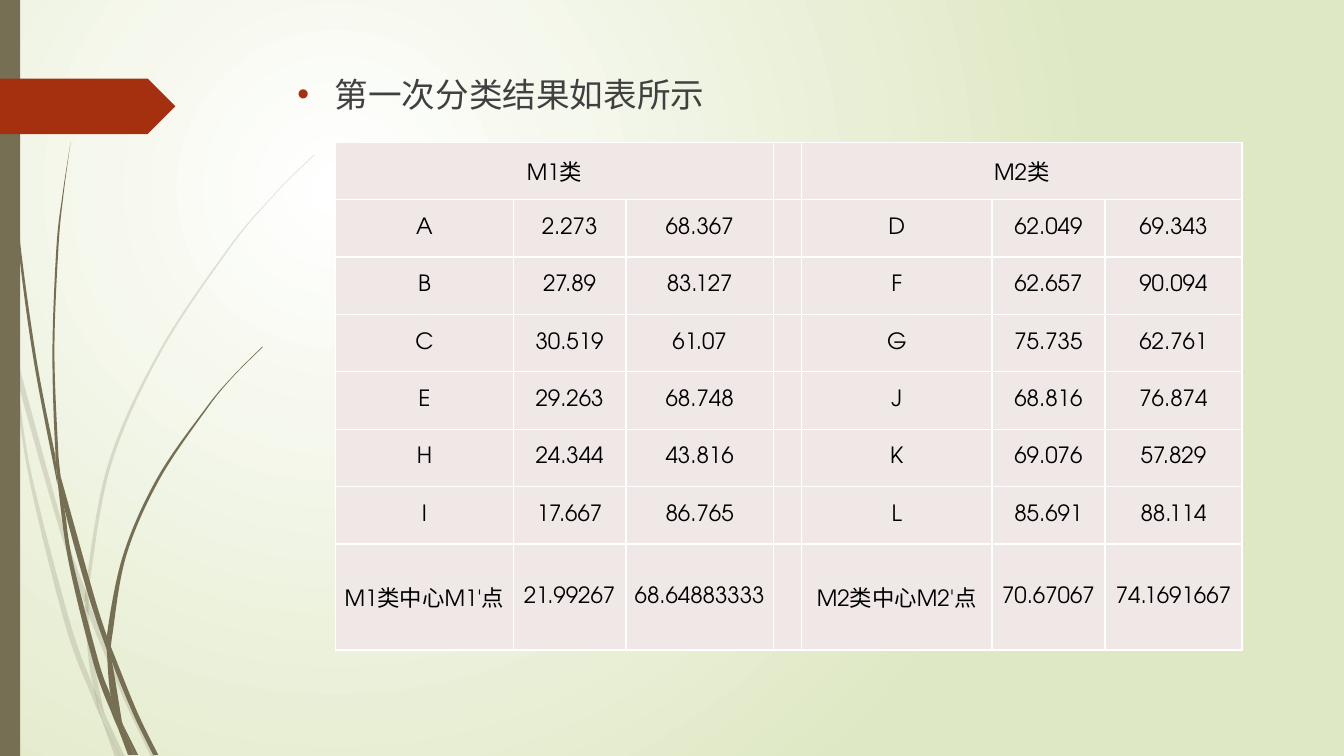
import pptx
import pptx.dml.color
import pptx.enum.shapes
import pptx.enum.text
import pptx.oxml
import pptx.oxml.ns
import pptx.util
from pptx.util import Inches

COLORS = {
    "white": "FFFFFF",
    "meadow": "DFE8C4",
    "stem": "766F54",
    "accent": "A53010",
    "heading": "404040",
    "cell": "F0E8E7",
    "ink": "000000",
}
LATIN = "TeX Gyre Adventor"
CHINESE = "Noto Sans CJK SC"

# Each leaf of grass is one edge and then the other, in order round its outline.
PALE_LEAVES = [
    ([(0.11, 3.5), (0.09, 3.22), (0, 2.82)], [(0, 2.99), (0.1, 3.44), (0.11, 3.5)]),
    ([(0.14, 3.45), (0.17, 3.76), (0.58, 5.22), (0.84, 5.99)],
     [(0.85, 5.86), (0.62, 5.2), (0.14, 3.45)]),
    ([(0.88, 5.96), (0.88, 6.1), (1.23, 6.94), (1.5, 7.51)],
     [(1.55, 7.51), (1.27, 6.92), (0.92, 6.07), (0.88, 5.96)]),
    ([(1.05, 7.11), (1.19, 7.51)], [(1.24, 7.51), (1.05, 7.11)]),
    ([(0.11, 3.5), (0.28, 4.7), (0.65, 6.21), (0.92, 6.93), (1.01, 7.14)],
     [(0.99, 7.07), (0.93, 6.83), (0.7, 6.19), (0.31, 4.69), (0.17, 3.76), (0.11, 3.5)]),
    ([(0.84, 5.99), (0.87, 6.46), (0.93, 6.83), (1.05, 7.11)],
     [(1.03, 7.06), (0.91, 6.46), (0.88, 6.1), (0.84, 5.99)]),
    ([(3.12, 1.53), (2.89, 1.75), (2.68, 1.97), (2.28, 2.44), (1.58, 3.48),
      (1.07, 4.61), (0.85, 5.84), (0.88, 5.96)],
     [(0.88, 5.84), (1.1, 4.62), (1.6, 3.49), (2.29, 2.45), (2.68, 1.98),
      (2.9, 1.75), (3.12, 1.54)]),
    ([(1.01, 7.14), (1.14, 7.51)], [(1.19, 7.51), (1.01, 7.14)]),
    ([(0.85, 5.86), (0.84, 5.99), (0.88, 6.1)], [(0.88, 5.96), (0.85, 5.86)]),
    ([(0.93, 6.83), (1.01, 7.14), (1.19, 7.51)],
     [(1.19, 7.51), (1.05, 7.11), (0.93, 6.83)]),
]
DARK_LEAVES = [
    ([(0.03, 0), (0.07, 1.1), (0.17, 2.33), (0.33, 3.55), (0.57, 4.81)],
     [(0.55, 4.53), (0.36, 3.55), (0.19, 2.32), (0.08, 1.09), (0.04, 0)]),
    ([(0.6, 4.72), (0.64, 5.05), (0.88, 5.92), (1.06, 6.45)],
     [(1.06, 6.31), (0.93, 5.9), (0.6, 4.72)]),
    ([(1.1, 6.41), (1.11, 6.56), (1.32, 7.08), (1.52, 7.49)],
     [(1.57, 7.49), (1.36, 7.06), (1.13, 6.49), (1.1, 6.41)]),
    ([(0.57, 4.77), (0.68, 5.57), (0.93, 6.59), (1.11, 7.08), (1.17, 7.22)],
     [(1.16, 7.17), (1.1, 6.91), (0.98, 6.57), (0.72, 5.56), (0.64, 5.05), (0.57, 4.77)]),
    ([(0.7, 1.41), (0.62, 1.93), (0.56, 2.45), (0.52, 3.49), (0.55, 4.49), (0.6, 4.72)],
     [(0.58, 4.53), (0.54, 3.49), (0.58, 2.45), (0.63, 1.93), (0.7, 1.41)]),
    ([(1.22, 7.19), (1.33, 7.49)], [(1.37, 7.49), (1.22, 7.19)]),
    ([(0.55, 4.49), (0.57, 4.77), (0.64, 5.05)], [(0.6, 4.72), (0.55, 4.49)]),
    ([(2.6, 3.44), (2.31, 3.73), (2.04, 4.05), (1.56, 4.74), (1.22, 5.51),
      (1.06, 6.31), (1.1, 6.41)],
     [(1.11, 6.33), (1.25, 5.52), (1.58, 4.76), (2.05, 4.06), (2.31, 3.74), (2.61, 3.44)]),
    ([(1.17, 7.22), (1.27, 7.49)], [(1.31, 7.49), (1.17, 7.22)]),
    ([(1.06, 6.45), (1.1, 6.91), (1.22, 7.19)], [(1.21, 7.16), (1.11, 6.56), (1.06, 6.45)]),
    ([(1.06, 6.31), (1.06, 6.45), (1.11, 6.56)], [(1.1, 6.41), (1.06, 6.31)]),
    ([(1.1, 6.91), (1.17, 7.22), (1.3, 7.49)], [(1.33, 7.49), (1.22, 7.19), (1.1, 6.91)]),
]

COLUMN_WIDTHS = [1.76, 1.12, 1.46, 0.28, 1.89, 1.12, 1.36]
ROW_HEIGHTS = [0.57] * 7 + [1.05]
CLUSTERS = [
    ["M1类", "", "", "", "M2类", "", ""],
    ["A", "2.273", "68.367", "", "D", "62.049", "69.343"],
    ["B", "27.89", "83.127", "", "F", "62.657", "90.094"],
    ["C", "30.519", "61.07", "", "G", "75.735", "62.761"],
    ["E", "29.263", "68.748", "", "J", "68.816", "76.874"],
    ["H", "24.344", "43.816", "", "K", "69.076", "57.829"],
    ["I", "17.667", "86.765", "", "L", "85.691", "88.114"],
    ["M1类中心M1'点", "21.99267", "68.64883333", "",
     "M2类中心M2'点", "70.67067", "74.1691667"],
]


def rgb(name):
    return pptx.dml.color.RGBColor.from_string(COLORS[name])


def add_xml(parent, tag, content="", index=None, **attributes):
    """Put a new element of the drawing namespace into parent."""
    listed = "".join(f' {key}="{value}"' for key, value in attributes.items())
    node = pptx.oxml.parse_xml(
        f"<a:{tag} {pptx.oxml.ns.nsdecls('a')}{listed}>{content}</a:{tag}>")
    parent.insert(len(parent) if index is None else index, node)
    return node


def write(paragraph, text, *, size, color, align, latin=LATIN):
    run = paragraph.add_run()
    run.text = text
    run.font.size = pptx.util.Pt(size)
    run.font.color.rgb = rgb(color)
    run.font.name = latin
    add_xml(run.font._element, "ea", typeface=CHINESE)
    paragraph.alignment = align


def paint_background(slide):
    fill = slide.background.fill
    fill.gradient()
    for stop, name in zip(fill.gradient_stops, ["white", "meadow"]):
        stop.color.rgb = rgb(name)
    gradient = slide.background._cSld.find(".//" + pptx.oxml.ns.qn("a:gradFill"))
    gradient.remove(gradient.find(pptx.oxml.ns.qn("a:lin")))
    add_xml(gradient, "path", '<a:fillToRect l="50000" t="50000" r="100000" b="100000"/>',
            path="circle")


def paint(shape, color, opacity=100):
    shape.shadow.inherit = False
    shape.line.fill.background()
    shape.fill.solid()
    shape.fill.fore_color.rgb = rgb(color)
    if opacity < 100:
        tint = shape._element.spPr.find(".//" + pptx.oxml.ns.qn("a:srgbClr"))
        add_xml(tint, "alpha", val=opacity * 1000)


def bezier_points(edge):
    """Return two control points and an end point for each span of a smooth edge."""
    padded = [edge[0], *edge, edge[-1]]
    points = []
    for before, start, end, after in zip(padded, padded[1:], padded[2:], padded[3:]):
        points.append(tuple(s + (e - b) / 6 for b, s, e in zip(before, start, end)))
        points.append(tuple(e - (a - s) / 6 for s, e, a in zip(start, end, after)))
        points.append(end)
    return points


def add_leaf(slide, first_edge, second_edge, opacity):
    turn = [first_edge[-1], second_edge[0], second_edge[0]]
    outline = [first_edge[0], *bezier_points(first_edge), *turn,
               *bezier_points(second_edge)]
    start, *rest = [(Inches(x), Inches(y)) for x, y in outline]
    builder = slide.shapes.build_freeform(*start, scale=1.0)
    builder.add_line_segments(rest, close=True)
    leaf = builder.convert_to_shape()
    lines = list(leaf._element.iter(pptx.oxml.ns.qn("a:lnTo")))
    for group in zip(lines[::3], lines[1::3], lines[2::3]):
        contour = group[0].getparent()
        curve = add_xml(contour, "cubicBezTo", index=contour.index(group[0]))
        for line in group:
            curve.append(line[0])
            contour.remove(line)
    paint(leaf, "stem", opacity)


def add_block(slide, preset, left, top, width, height, color):
    block = slide.shapes.add_shape(
        preset, Inches(left), Inches(top), Inches(width), Inches(height))
    paint(block, color)


def fill_body(slide, text):
    body = slide.placeholders[1]
    body.element.getparent().append(body.element)
    body.left, body.top = Inches(2.85), Inches(0.48)
    body.width, body.height = Inches(9.75), Inches(7.02)
    paragraph = body.text_frame.paragraphs[0]
    paragraph.line_spacing = 1.5
    paragraph.space_before = pptx.util.Pt(0)
    properties = paragraph._p.get_or_add_pPr()
    properties.set("marL", str(Inches(0.37)))
    properties.set("indent", str(-Inches(0.37)))
    add_xml(properties, "buClr", f'<a:srgbClr val="{COLORS["accent"]}"/>')
    add_xml(properties, "buFont", typeface="Arial")
    add_xml(properties, "buChar", char="•")
    write(paragraph, text, size=24, color="heading", latin=CHINESE,
          align=pptx.enum.text.PP_ALIGN.JUSTIFY)


def format_cell(cell, text):
    cell.fill.solid()
    cell.fill.fore_color.rgb = rgb("cell")
    cell.vertical_anchor = pptx.enum.text.MSO_ANCHOR.MIDDLE
    cell.margin_left = cell.margin_right = Inches(0.07)
    cell.margin_top = cell.margin_bottom = 0
    white = f'<a:solidFill><a:srgbClr val="{COLORS["white"]}"/></a:solidFill>'
    for index, side in enumerate("LRTB"):
        add_xml(cell._tc.get_or_add_tcPr(), f"ln{side}", white, index, w=12700)
    if text:
        write(cell.text_frame.paragraphs[0], text, size=16, color="ink",
              align=pptx.enum.text.PP_ALIGN.CENTER)


def add_cluster_table(slide):
    table = slide.shapes.add_table(
        len(ROW_HEIGHTS), len(COLUMN_WIDTHS), Inches(3.33), Inches(1.41),
        Inches(sum(COLUMN_WIDTHS)), Inches(sum(ROW_HEIGHTS))).table
    for column, width in zip(table.columns, COLUMN_WIDTHS):
        column.width = Inches(width)
    for row, height, texts in zip(table.rows, ROW_HEIGHTS, CLUSTERS):
        row.height = Inches(height)
        for cell, text in zip(row.cells, texts):
            format_cell(cell, text)
    for first in (0, 4):
        table.cell(0, first).merge(table.cell(0, first + 2))


def main():
    deck = pptx.Presentation()
    deck.slide_width, deck.slide_height = Inches(13.33), Inches(7.5)
    slide = deck.slides.add_slide(deck.slide_layouts[1])
    title = slide.shapes.title.element
    title.getparent().remove(title)
    paint_background(slide)
    for leaves, opacity in ((PALE_LEAVES, 20), (DARK_LEAVES, 100)):
        for first_edge, second_edge in leaves:
            add_leaf(slide, first_edge, second_edge, opacity)
    presets = pptx.enum.shapes.MSO_SHAPE
    add_block(slide, presets.RECTANGLE, 0, 0, 0.2, 7.5, "stem")
    add_block(slide, presets.PENTAGON, 0, 0.78, 1.74, 0.55, "accent")
    fill_body(slide, "第一次分类结果如表所示")
    add_cluster_table(slide)
    deck.save("out.pptx")


if __name__ == "__main__":
    main()
